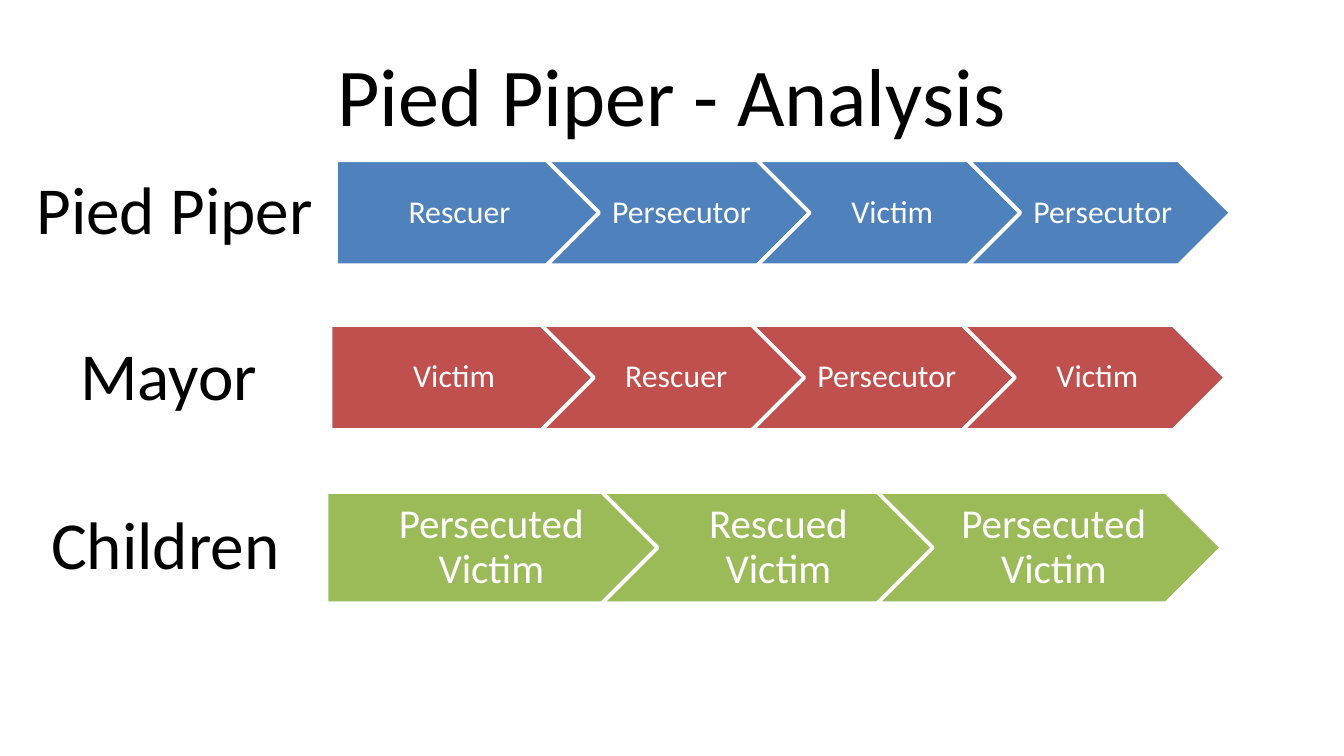
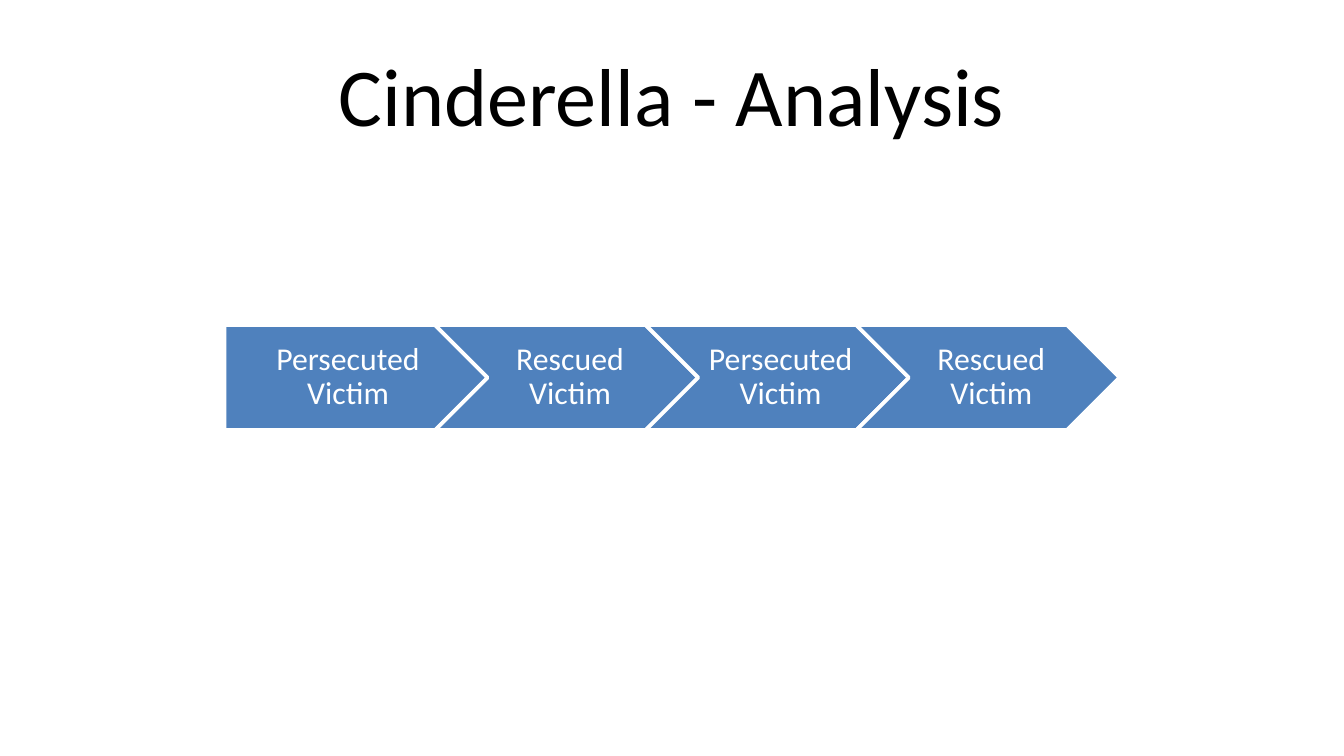
"""Build two slides that trace drama-triangle roles through folk tales."""
from pptx import Presentation, util as u
from pptx.dml.color import RGBColor
from pptx.enum import shapes, text

COLORS = {"blue": "4F81BD", "red": "C0504D", "green": "9BBB59",
          "white": "FFFFFF", "black": "000000"}
FONT = "Calibri"
WIDTH, HEIGHT = u.Inches(10), u.Inches(5.625)
BAND_WIDTH = 66.6
STEP_PITCH = 0.8


def across(percent):
    """Return a share of the slide's width."""
    return round(WIDTH * percent / 100)


def down(percent):
    """Return a share of the slide's height."""
    return round(HEIGHT * percent / 100)


def color(name):
    """Look up a named colour."""
    return RGBColor.from_string(COLORS[name])


def write(shape, words, size, shade):
    """Put one centred paragraph in a shape and return it."""
    para = shape.text_frame.paragraphs[0]
    para.text = words
    para.alignment = text.PP_ALIGN.CENTER
    para.font.name = FONT
    para.font.size = u.Pt(size)
    para.font.color.rgb = color(shade)
    return para


def add_title(page, words):
    """Add the slide title."""
    box = page.shapes.add_textbox(across(5), down(4), across(90), down(16.7))
    box.text_frame.word_wrap = True
    box.text_frame.vertical_anchor = text.MSO_ANCHOR.MIDDLE
    write(box, words, 44, "black")


def add_label(page, words, left, width, middle):
    """Name the character beside a band."""
    box = page.shapes.add_textbox(across(left), down(middle - 6.8), across(width), down(12.6))
    box.text_frame.word_wrap = False
    box.text_frame.auto_size = text.MSO_AUTO_SIZE.SHAPE_TO_FIT_TEXT
    write(box, words, 36, "black")


def add_band(page, steps, left, top, fill, height=13.9, size=17):
    """Add a group of overlapping arrows, one for each role."""
    band = page.shapes.add_group_shape()
    width = BAND_WIDTH / (1 + STEP_PITCH * (len(steps) - 1))
    for index, role in enumerate(steps):
        kind = shapes.MSO_SHAPE.CHEVRON if index else shapes.MSO_SHAPE.PENTAGON
        arrow = band.shapes.add_shape(kind, across(left + index * width * STEP_PITCH),
                                      down(top), across(width), down(height))
        arrow.shadow.inherit = False
        arrow.fill.solid()
        arrow.fill.fore_color.rgb = color(fill)
        arrow.line.color.rgb = color("white")
        arrow.line.width = u.Pt(2)
        frame = arrow.text_frame
        frame.word_wrap = True
        frame.vertical_anchor = text.MSO_ANCHOR.MIDDLE
        frame.margin_left = u.Pt(size * (0.31 if index else 0.42))
        frame.margin_right = u.Pt(size * 0.1)
        frame.margin_top = frame.margin_bottom = u.Pt(size * 0.21)
        para = write(arrow, role, size, "white")
        para.line_spacing = 0.9
        para.space_after = u.Pt(size * 0.35)


def add_page(deck, title):
    """Add a blank slide with a title."""
    page = deck.slides.add_slide(deck.slide_layouts[6])
    add_title(page, title)
    return page


def main():
    """Build and save the deck."""
    deck = Presentation()
    deck.slide_width, deck.slide_height = WIDTH, HEIGHT

    page = add_page(deck, "Pied Piper - Analysis")
    add_band(page, ["Rescuer", "Persecutor", "Victim", "Persecutor"], 25, 21.2, "blue")
    add_label(page, "Pied Piper", 1.6, 22.8, 28.1)
    add_band(page, ["Victim", "Rescuer", "Persecutor", "Victim"], 24.6, 43, "red")
    add_label(page, "Mayor", 4.9, 15.3, 50)
    add_band(page, ["Persecuted Victim", "Rescued Victim", "Persecuted Victim"],
             24.3, 65.1, "green", height=14.7, size=22)
    add_label(page, "Children", 2.7, 19.2, 72.4)

    page = add_page(deck, "Cinderella - Analysis")
    add_band(page, ["Persecuted Victim", "Rescued Victim"] * 2, 16.7, 43, "blue")

    deck.save("out.pptx")


if __name__ == "__main__":
    main()
